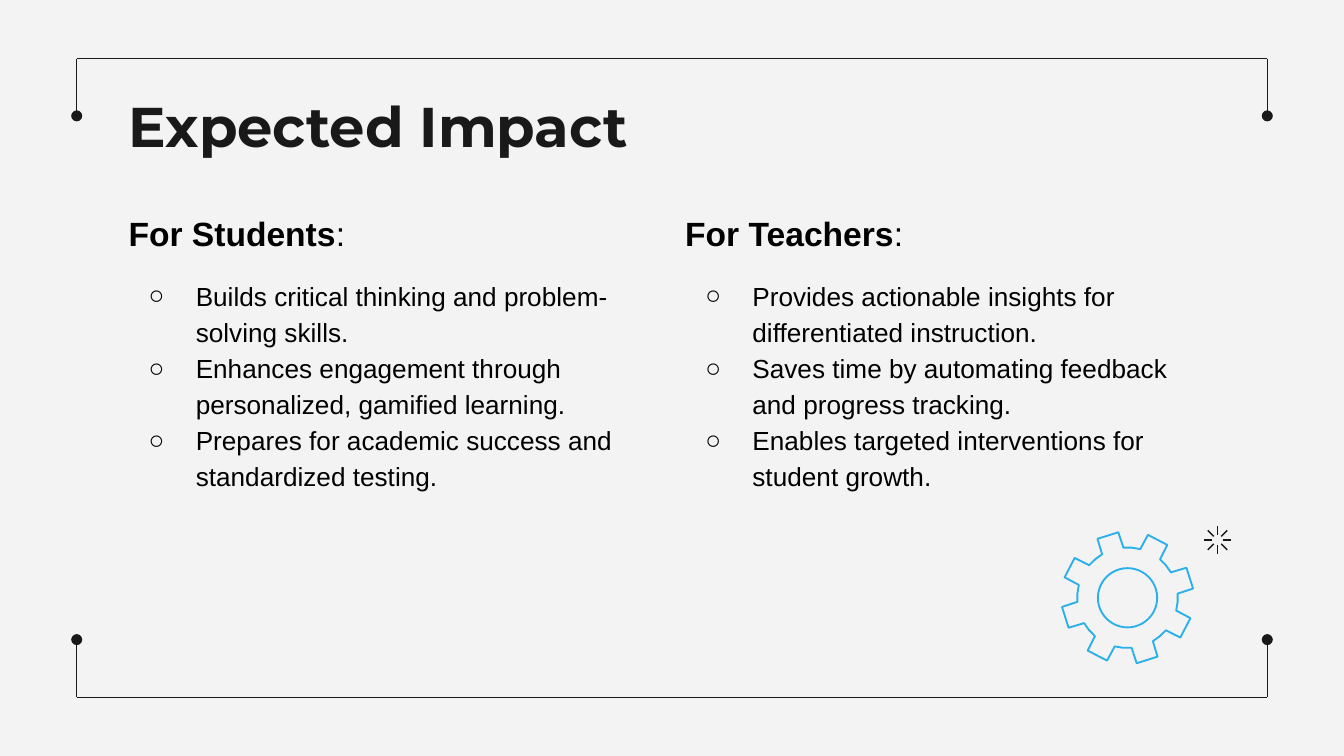
from dataclasses import dataclass
from math import cos, radians, sin

from lxml import etree
from pptx import Presentation
from pptx.dml.color import RGBColor
from pptx.enum.shapes import MSO_CONNECTOR, MSO_SHAPE
from pptx.enum.text import MSO_ANCHOR, MSO_AUTO_SIZE, PP_ALIGN
from pptx.oxml.ns import qn
from pptx.util import Cm, Pt

STRAIGHT = MSO_CONNECTOR.STRAIGHT
OVAL = MSO_SHAPE.OVAL
TOP, BOTTOM = MSO_ANCHOR.TOP, MSO_ANCHOR.BOTTOM
LEFT = PP_ALIGN.LEFT
NO_FIT = MSO_AUTO_SIZE.NONE
TWO_CONTENT = 3

COLORS = {"bg": "F3F3F3", "ink": "191919", "text": "000000", "gear": "2AAFEB"}


@dataclass
class Column:
    left: float
    height: float
    heading: str
    items: list[str]


COLUMNS = [
    Column(2.18, 7.47, "For Students", [
        "Builds critical thinking and problem-solving skills.",
        "Enhances engagement through personalized, gamified learning.",
        "Prepares for academic success and standardized testing.",
    ]),
    Column(12.7, 7.98, "For Teachers", [
        "Provides actionable insights for differentiated instruction.",
        "Saves time by automating feedback and progress tracking.",
        "Enables targeted interventions for student growth.",
    ]),
]


def rgb(name: str) -> RGBColor:
    return RGBColor.from_string(COLORS[name])


def polar(cx: float, cy: float, radius: float, angle: float) -> tuple[float, float]:
    """Point in cm; the angle runs clockwise from the top, in degrees."""
    a = radians(angle)
    return cx + radius * sin(a), cy - radius * cos(a)


def add_line(s, x1: float, y1: float, x2: float, y2: float, dot: bool = False) -> None:
    sp = s.shapes.add_connector(STRAIGHT, Cm(x1), Cm(y1), Cm(x2), Cm(y2))
    sp.line.color.rgb = rgb("ink")
    sp.line.width = Pt(0.75)
    if dot:
        etree.SubElement(sp.line._get_or_add_ln(), qn("a:tailEnd"), type="oval")
    etree.SubElement(sp._element.spPr, qn("a:effectLst"))


def style_outline(sp) -> None:
    sp.shadow.inherit = False
    sp.fill.background()
    sp.line.color.rgb = rgb("gear")
    sp.line.width = Pt(1)


def place(sp, left: float, top: float, width: float, height: float, anchor):
    sp.left, sp.top, sp.width, sp.height = Cm(left), Cm(top), Cm(width), Cm(height)
    tf = sp.text_frame
    tf.margin_left = tf.margin_right = tf.margin_top = tf.margin_bottom = Cm(0.25)
    tf.word_wrap = True
    tf.auto_size = NO_FIT
    tf.vertical_anchor = anchor
    return tf


def add_run(p, text: str, size: float, color: str, bold: bool, font: str = "Arial") -> None:
    r = p.add_run()
    r.text = text
    r.font.name = font
    r.font.size = Pt(size)
    r.font.bold = bold
    r.font.color.rgb = rgb(color)


def format_paragraph(p, before: float, bullet: bool) -> None:
    p.alignment = LEFT
    p.line_spacing = 1.15
    p.space_before = Pt(before)
    pPr = p._p.get_or_add_pPr()
    pPr.set("marL", str(Cm(1.27) if bullet else 0))
    pPr.set("indent", str(Cm(-0.89) if bullet else 0))
    if bullet:
        color = etree.SubElement(pPr, qn("a:buClr"))
        etree.SubElement(color, qn("a:srgbClr"), val=COLORS["text"])
        etree.SubElement(pPr, qn("a:buFont"), typeface="Arial")
        etree.SubElement(pPr, qn("a:buChar"), char="○")
    else:
        etree.SubElement(pPr, qn("a:buNone"))


def fill_column(sp, column: Column) -> None:
    tf = place(sp, column.left, 3.66, 9.9, column.height, TOP)
    p = tf.paragraphs[0]
    format_paragraph(p, 12, False)
    add_run(p, column.heading, 18, "text", True)
    add_run(p, ":", 18, "text", False)
    for i, item in enumerate(column.items):
        p = tf.add_paragraph()
        format_paragraph(p, 0 if i else 12, True)
        add_run(p, item, 14, "text", False)


def draw_frame(s) -> None:
    left, right = 1.45, 23.95
    for edge, end in ((1.11, 2.19), (13.18, 12.09)):
        add_line(s, left, edge, right, edge)
        for x in (left, right):
            add_line(s, x, edge, x, end, dot=True)


def draw_gear(s, cx: float, cy: float) -> None:
    hub, root, tip = 0.56, 0.95, 1.25
    tooth = [(-12.8, root), (-9.5, tip), (9.5, tip), (12.8, root), (22.5, root)]
    points = [polar(cx, cy, radius, -17.5 + 45 * n + offset)
              for n in range(8) for offset, radius in tooth]
    emu = [(Cm(x), Cm(y)) for x, y in points]
    builder = s.shapes.build_freeform(*emu[0])
    builder.add_line_segments(emu[1:], close=True)
    style_outline(builder.convert_to_shape())
    style_outline(s.shapes.add_shape(
        OVAL, Cm(cx - hub), Cm(cy - hub), Cm(2 * hub), Cm(2 * hub)))


def draw_spark(s, cx: float, cy: float) -> None:
    for angle in range(0, 360, 45):
        add_line(s, *polar(cx, cy, 0.1, angle), *polar(cx, cy, 0.26, angle))


def main() -> None:
    prs = Presentation()
    prs.slide_width, prs.slide_height = Cm(25.4), Cm(14.29)
    s = prs.slides.add_slide(prs.slide_layouts[TWO_CONTENT])
    s.background.fill.solid()
    s.background.fill.fore_color.rgb = rgb("bg")

    # Title
    p = place(s.shapes.title, 2.18, 1.47, 17.65, 1.78, BOTTOM).paragraphs[0]
    p.alignment = LEFT
    add_run(p, "Expected Impact", 30, "ink", True, "Montserrat")

    # Two lists
    for idx, column in enumerate(COLUMNS, start=1):
        fill_column(s.placeholders[idx], column)

    # Decoration
    draw_frame(s)
    draw_gear(s, 21.31, 11.3)
    draw_spark(s, 23.01, 10.21)

    prs.save("out.pptx")


if __name__ == "__main__":
    main()
